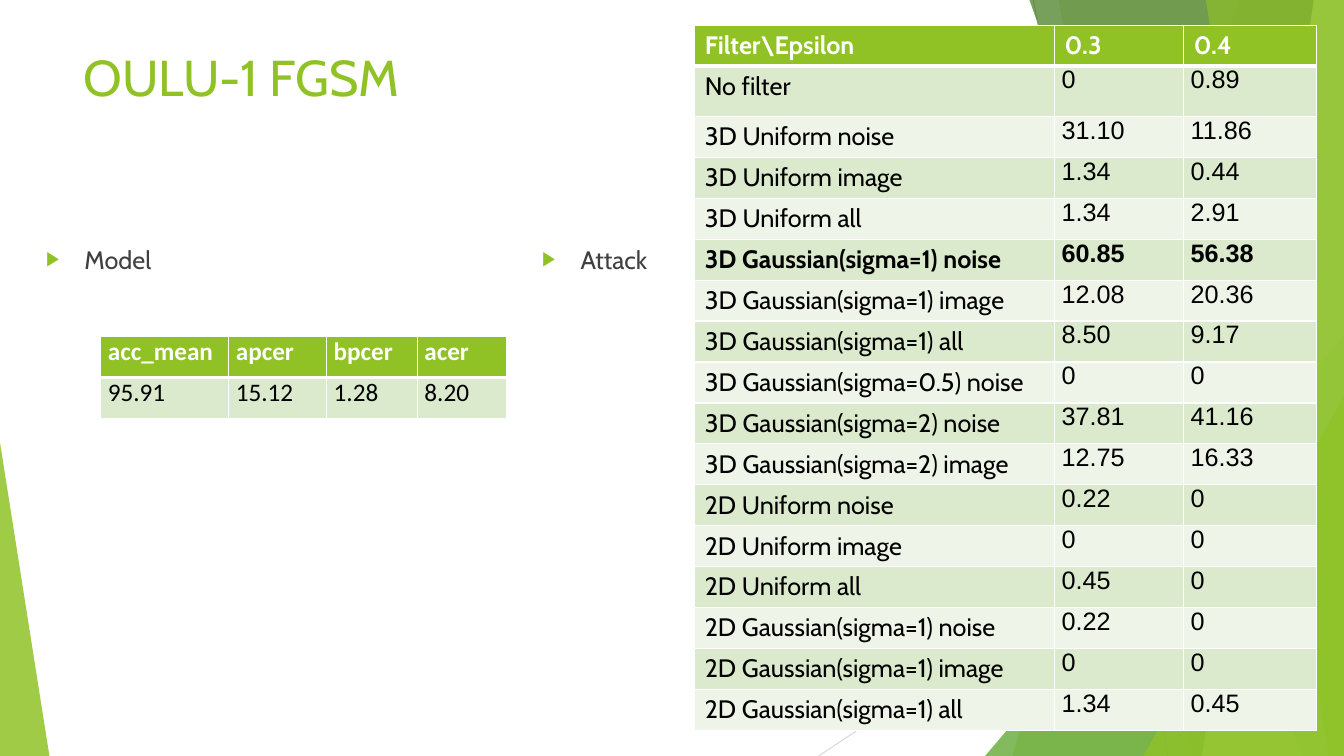
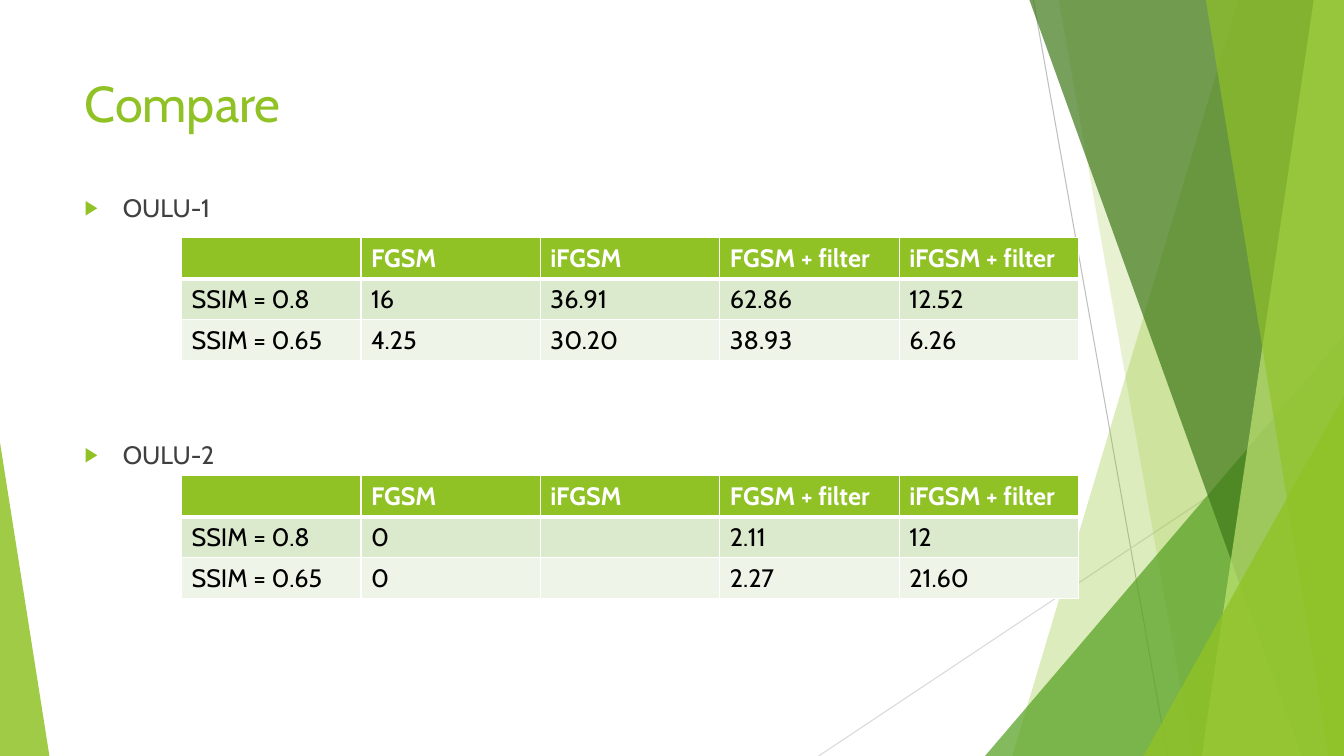
from dataclasses import dataclass

from lxml import etree
from pptx import Presentation
from pptx.dml.color import RGBColor
from pptx.enum.shapes import MSO_CONNECTOR, MSO_SHAPE
from pptx.enum.text import MSO_ANCHOR, MSO_AUTO_SIZE, PP_ALIGN
from pptx.oxml.ns import qn
from pptx.util import Inches, Pt

STRAIGHT = MSO_CONNECTOR.STRAIGHT
TRIANGLE = MSO_SHAPE.ISOSCELES_TRIANGLE
TOP, LEFT, FIXED = MSO_ANCHOR.TOP, PP_ALIGN.LEFT, MSO_AUTO_SIZE.NONE
WIDTH, HEIGHT = 13.33, 7.5
TITLE_ONLY = 5


@dataclass(frozen=True)
class Theme:
    green: str = "90C226"
    leaf: str = "54A021"
    dark: str = "3F7819"
    lime: str = "C0E474"
    white: str = "FFFFFF"
    black: str = "000000"
    gray: str = "404040"
    odd: str = "DBE9CD"
    even: str = "EEF4E8"
    font: str = "Cabin"
    title: int = 36
    body: int = 18
    thin: int = 1
    thick: int = 3


@dataclass(frozen=True)
class Face:
    """Font and margins of a table cell."""
    font: str
    side: float
    top: float


THEME = Theme()
ROOMY = Face(THEME.font, 0.1, 0.05)
TIGHT = Face("Arial", 0.07, 0)
PLAIN = Face("Calibri", 0.07, 0)

# Lines: start, end, colour
LINES = [
    ((10.25, 0), (11.58, HEIGHT), "BFBFBF"),
    ((WIDTH, 4.03), (8.12, HEIGHT), "D9D9D9"),
]

# Bands give their left edge at top and bottom; triangles give
# left, top, width and apex
FACETS = [
    ("band", (12.28, 10.04), THEME.green, 30),
    ("band", (10.5, 11.83), THEME.green, 20),
    ("triangle", (9.77, 3.33, 3.56, 1), THEME.leaf, 72),
    ("band", (10.21, 12.91), THEME.dark, 70),
    ("band", (13.03, 11.92), THEME.lime, 70),
    ("band", (11.96, 13.18), THEME.green, 65),
    ("triangle", (11.34, 3.93, 1.99, 1), THEME.green, 80),
    ("triangle", (0, 4.39, 0.49, 0), THEME.green, 85),
]

FILTERS = [
    ("Filter\\Epsilon", "0.3", "0.4"),
    ("No filter", "0", "0.89"),
    ("3D Uniform noise", "31.10", "11.86"),
    ("3D Uniform image", "1.34", "0.44"),
    ("3D Uniform all", "1.34", "2.91"),
    ("3D Gaussian(sigma=1) noise", "60.85", "56.38"),
    ("3D Gaussian(sigma=1) image", "12.08", "20.36"),
    ("3D Gaussian(sigma=1) all", "8.50", "9.17"),
    ("3D Gaussian(sigma=0.5) noise", "0", "0"),
    ("3D Gaussian(sigma=2) noise", "37.81", "41.16"),
    ("3D Gaussian(sigma=2) image", "12.75", "16.33"),
    ("2D Uniform noise", "0.22", "0"),
    ("2D Uniform image", "0", "0"),
    ("2D Uniform all", "0.45", "0"),
    ("2D Gaussian(sigma=1) noise", "0.22", "0"),
    ("2D Gaussian(sigma=1) image", "0", "0"),
    ("2D Gaussian(sigma=1) all", "1.34", "0.45"),
]
BEST = 5

MODEL = [
    ("acc_mean", "apcer", "bpcer", "acer"),
    ("95.91", "15.12", "1.28", "8.20"),
]

HEADS = ("", "FGSM", "iFGSM", "FGSM + filter", "iFGSM + filter")
# Name, label top, table top, rows
SETS = [
    ("OULU-1", 1.86, 2.36, [
        ("SSIM = 0.8", "16", "36.91", "62.86", "12.52"),
        ("SSIM = 0.65", "4.25", "30.20", "38.93", "6.26"),
    ]),
    ("OULU-2", 4.31, 4.72, [
        ("SSIM = 0.8", "0", "", "2.11", "12"),
        ("SSIM = 0.65", "0", "", "2.27", "21.60"),
    ]),
]


def place(shape, *box):
    shape.left, shape.top, shape.width, shape.height = map(Inches, box)


def style(para, size, color, name=THEME.font, bold=False):
    font = para.font
    font.name, font.size, font.bold = name, Pt(size), bold
    font.color.rgb = RGBColor.from_string(color)


def add(parent, tag, **attrs):
    return etree.SubElement(parent, qn(tag), attrs)


# Shared backdrop
def draw_line(shapes, start, end, color):
    line = shapes.add_connector(STRAIGHT, *map(Inches, start + end))
    line.line.color.rgb = RGBColor.from_string(color)
    line.line.width = Pt(0.75)
    add(line.element.spPr, "a:effectLst")
    return line


def draw_band(shapes, top, bottom):
    edge, foot = Inches(WIDTH), Inches(HEIGHT)
    pen = shapes.build_freeform(Inches(top), 0)
    pen.add_line_segments([(edge, 0), (edge, foot), (Inches(bottom), foot)])
    return pen.convert_to_shape()


def draw_triangle(shapes, left, top, width, apex):
    box = map(Inches, (left, top, width, HEIGHT - top))
    shape = shapes.add_shape(TRIANGLE, *box)
    shape.adjustments[0] = apex
    return shape


def draw_facet(shapes, kind, form, color, alpha):
    draw = draw_band if kind == "band" else draw_triangle
    shape = draw(shapes, *form)
    shape.shadow.inherit = False
    shape.line.fill.background()
    shape.fill.solid()
    shape.fill.fore_color.rgb = RGBColor.from_string(color)
    tint = shape.element.spPr.find(qn("a:solidFill"))[0]
    add(tint, "a:alpha", val=str(alpha * 1000))
    return shape


def set_backdrop(master, slide):
    """Draw on a slide, then move the parts behind the master's own."""
    shapes = slide.shapes
    parts = [draw_line(shapes, *line) for line in LINES]
    parts += [draw_facet(shapes, *facet) for facet in FACETS]
    tree = master.shapes.element
    for index, part in enumerate(parts):
        part.element.xpath(".//p:cNvPr")[0].set("id", str(100 + index))
        tree.insert(2 + index, part.element)


# Text
def set_title(slide, text, left, top):
    title = slide.shapes.title
    place(title, left, top, 9.4, 1.44)
    frame = title.text_frame
    frame.text = text
    frame.vertical_anchor, frame.auto_size = TOP, FIXED
    para = frame.paragraphs[0]
    para.alignment = LEFT
    style(para, THEME.title, THEME.green)


def add_bullet(slide, text, left, top):
    box = slide.shapes.add_textbox(*map(Inches, (left, top, 1.6, 0.39)))
    frame = box.text_frame
    frame.word_wrap = True
    frame.text = text
    para = frame.paragraphs[0]
    para.space_before = Pt(10)
    props = para.runs[0].font and para._p.get_or_add_pPr()
    props.set("marL", str(Inches(0.38)))
    props.set("indent", str(-Inches(0.38)))
    add(add(props, "a:buClr"), "a:srgbClr", val=THEME.green)
    add(props, "a:buSzPct", val="80000")
    add(props, "a:buFont", typeface="Arial")
    add(props, "a:buChar", char="▶")
    style(para, THEME.body, THEME.gray)


# Tables
def set_edges(cell, top, bottom):
    props = cell._tc.get_or_add_tcPr()
    widths = {"L": THEME.thin, "R": THEME.thin, "T": top, "B": bottom}
    for index, (side, width) in enumerate(widths.items()):
        edge = etree.Element(qn(f"a:ln{side}"), w=str(Pt(width)))
        add(add(edge, "a:solidFill"), "a:srgbClr", val=THEME.white)
        props.insert(index, edge)


def set_cell(cell, text, face, row, bold):
    head = row == 0
    cell.text = text
    cell.vertical_anchor = TOP
    cell.margin_left = cell.margin_right = Inches(face.side)
    cell.margin_top = cell.margin_bottom = Inches(face.top)
    color = THEME.white if head else THEME.black
    style(cell.text_frame.paragraphs[0], THEME.body, color, face.font, bold)
    band = THEME.odd if row % 2 else THEME.even
    cell.fill.solid()
    cell.fill.fore_color.rgb = RGBColor.from_string(
        THEME.green if head else band)
    set_edges(cell, THEME.thick if row == 1 else THEME.thin,
              THEME.thick if head else THEME.thin)


def add_grid(slide, left, top, cols, rows, head=ROOMY, label=ROOMY,
             value=ROOMY, strong=(0,), tall=()):
    heights = [0.5 if row in tall else 0.406 for row in range(len(rows))]
    box = map(Inches, (left, top, sum(cols), sum(heights)))
    grid = slide.shapes.add_table(len(rows), len(cols), *box).table
    grid.horz_banding = False
    for col, width in enumerate(cols):
        grid.columns[col].width = Inches(width)
    for row, texts in enumerate(rows):
        grid.rows[row].height = Inches(heights[row])
        for col, text in enumerate(texts):
            face = head if row == 0 else value if col else label
            set_cell(grid.cell(row, col), text, face, row, row in strong)


# Slides
def fill_attack(slide):
    set_title(slide, "OULU-1 FGSM", 0.73, 0.41)
    add_grid(slide, 6.89, 0.25, (3.57, 1.28, 1.32), FILTERS,
             value=TIGHT, strong=(0, BEST), tall=(1,))
    add_grid(slide, 1, 3.34, (1.27, 0.97, 0.9, 0.89), MODEL,
             head=PLAIN, label=PLAIN, value=PLAIN)
    add_bullet(slide, "Model", 0.36, 2.37)
    add_bullet(slide, "Attack", 5.28, 2.37)


def fill_compare(slide):
    set_title(slide, "Compare", 0.74, 0.67)
    for name, label_top, grid_top, rows in SETS:
        add_grid(slide, 1.8, grid_top, [1.78] * len(HEADS), [HEADS, *rows])
        add_bullet(slide, name, 0.74, label_top)


def main():
    deck = Presentation()
    deck.slide_width, deck.slide_height = Inches(WIDTH), Inches(HEIGHT)
    layout = deck.slide_layouts[TITLE_ONLY]
    attack, compare = (deck.slides.add_slide(layout) for _ in range(2))
    set_backdrop(deck.slide_master, attack)
    fill_attack(attack)
    fill_compare(compare)
    deck.save("out.pptx")


if __name__ == "__main__":
    main()
